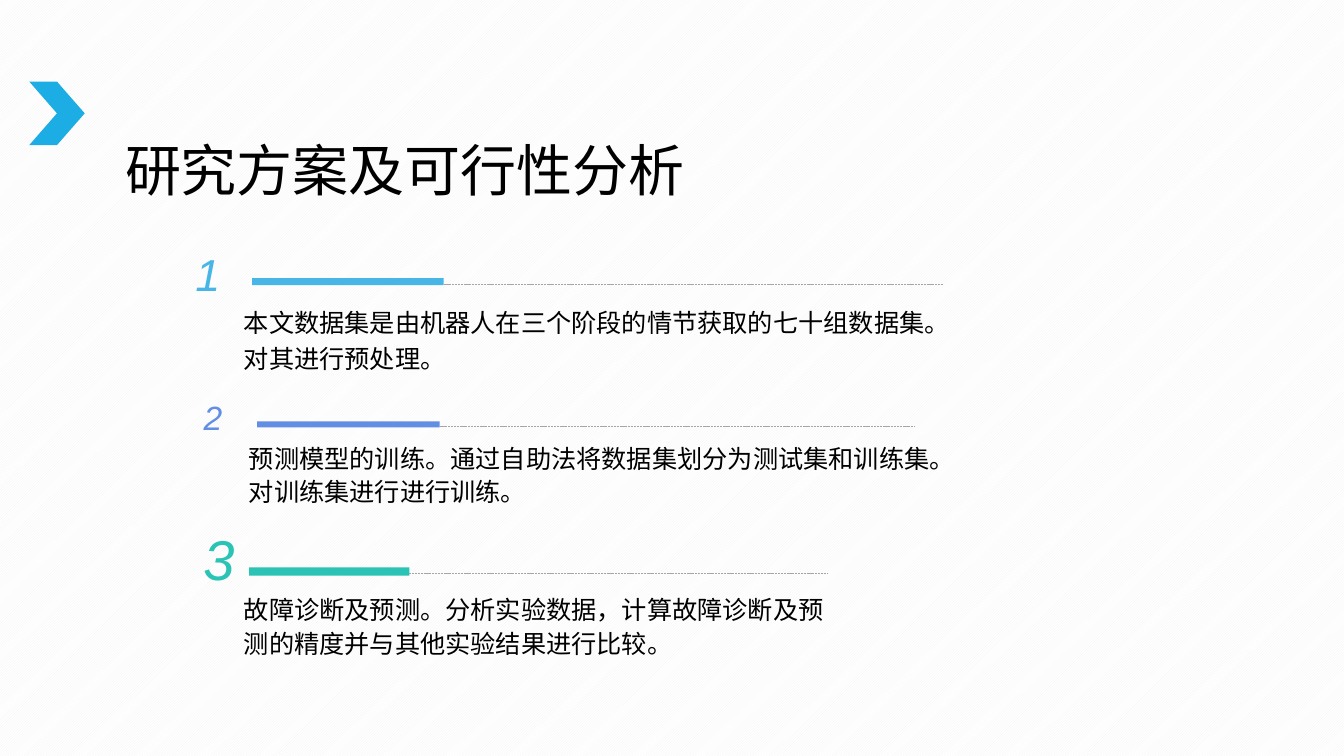
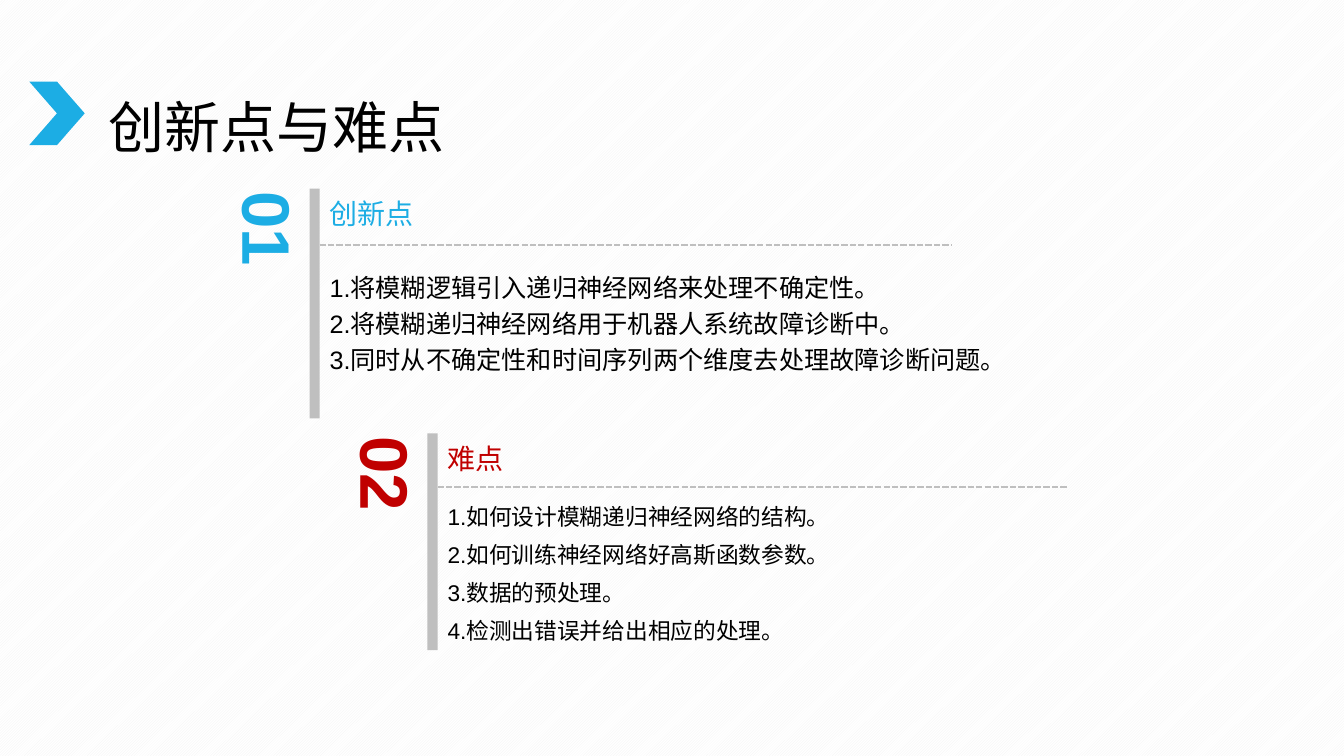
import pptx
import pptx.util
import pptx.dml.color
import pptx.enum.dml
import pptx.enum.shapes
import pptx.enum.text
import pptx.oxml.ns
import lxml.etree

Inches = pptx.util.Inches
Pt = pptx.util.Pt
SHAPE = pptx.enum.shapes.MSO_SHAPE
ANCHOR = pptx.enum.text.MSO_ANCHOR
ALIGN = pptx.enum.text.PP_ALIGN

BLACK, BLUE, RED = "000000", "1CADE4", "C00000"
RULE, BAR = "A6A6A6", "BFBFBF"


def rgb(value):
    """Turn a hex string into a colour."""
    return pptx.dml.color.RGBColor.from_string(value)


def write(tf, text, size=18, color=BLACK, font="Arial", bold=False, italic=False,
          spacing=1.0, align=ALIGN.LEFT, anchor=ANCHOR.TOP):
    """Fill a text frame, one paragraph for each line of text."""
    tf.word_wrap = True
    tf.auto_size = pptx.enum.text.MSO_AUTO_SIZE.NONE
    tf.vertical_anchor = anchor
    for i, line in enumerate(text.split("\n")):
        p = tf.add_paragraph() if i else tf.paragraphs[0]
        p.alignment = align
        p.line_spacing = spacing
        r = p.add_run()
        r.text = line
        r.font.size = Pt(size)
        r.font.name = font
        r.font.bold = bold
        r.font.italic = italic
        r.font.color.rgb = rgb(color)


class Deck:
    """Hold the shared style and the current slide."""

    def __init__(self):
        """Set the slide size and the striped background."""
        self.prs = pptx.Presentation()
        self.prs.slide_width = Inches(13.33)
        self.prs.slide_height = Inches(7.5)
        fill = self.prs.slide_master.background.fill
        fill.patterned()
        fill.pattern = pptx.enum.dml.MSO_PATTERN.LIGHT_UPWARD_DIAGONAL
        fill.fore_color.rgb = rgb("F2F2F2")
        fill.back_color.rgb = rgb("FFFFFF")

    def slide(self, title, x, y):
        """Start a slide with its chevron and title."""
        self.s = self.prs.slides.add_slide(self.prs.slide_layouts[5])
        self.block(0.29, 0.81, 0.55, 0.63, BLUE, SHAPE.CHEVRON)
        sp = self.s.shapes.title
        sp.left, sp.top = Inches(x), Inches(y)
        sp.width, sp.height = Inches(8.84), Inches(1.39)
        write(sp.text_frame, title, size=40, spacing=1.5, anchor=ANCHOR.MIDDLE)

    def block(self, x, y, w, h, color, kind=SHAPE.RECTANGLE):
        """Draw a plain filled shape."""
        sp = self.s.shapes.add_shape(kind, Inches(x), Inches(y), Inches(w), Inches(h))
        sp.shadow.inherit = False
        sp.fill.solid()
        sp.fill.fore_color.rgb = rgb(color)
        sp.line.fill.background()

    def text(self, x, y, w, h, text, **style):
        """Place a text box and return its frame."""
        tf = self.s.shapes.add_textbox(Inches(x), Inches(y), Inches(w), Inches(h)).text_frame
        write(tf, text, **style)
        return tf

    def vertical(self, x, y, w, h, text, **style):
        """Place text that runs from top to bottom."""
        tf = self.text(x, y, w, h, text, **style)
        tf.margin_left = tf.margin_right = tf.margin_top = tf.margin_bottom = 0
        tf._txBody.bodyPr.set("vert", "eaVert")

    def rule(self, x, y, w, color, width):
        """Draw a dashed horizontal line."""
        line = self.s.shapes.add_connector(
            pptx.enum.shapes.MSO_CONNECTOR.STRAIGHT,
            Inches(x), Inches(y), Inches(x + w), Inches(y))
        line.line.color.rgb = rgb(color)
        line.line.width = Pt(width)
        line.line.dash_style = pptx.enum.dml.MSO_LINE.SQUARE_DOT
        lxml.etree.SubElement(line._element.spPr, pptx.oxml.ns.qn("a:effectLst"))

    def step(self, number, color, number_box, size, number_spacing, bar, rule, body_box, text, spacing):
        """Draw a numbered step with a bar, a rule and its text."""
        x, y, w, h = bar
        rule_y, rule_w = rule
        self.rule(x + w, rule_y, rule_w, RULE, 0.5)
        self.block(x, y, w, h, color)
        self.text(*body_box, text, spacing=spacing)
        self.text(*number_box, number, size=size, color=color, italic=True, spacing=number_spacing)

    def section(self, number, heading, color, x, y, h, number_w, rule, body, text, **style):
        """Draw a section beside a vertical bar."""
        bar_w, inset = 0.1, 0.03
        left = x + bar_w
        rule_y, rule_w = rule
        body_y, body_w, body_h = body
        self.text(left, y + inset, 6.64, 0.67, heading, size=20, color=color, font="Calibri")
        self.block(x, y, bar_w, h, BAR)
        self.text(left, body_y, body_w, body_h, text, align=ALIGN.JUSTIFY, **style)
        self.rule(left, rule_y, rule_w, BAR, 1.5)
        self.vertical(x - number_w, y + inset, number_w, h - inset, number,
                      size=48, color=color, bold=True)


def main():
    """Build and save the two slides."""
    deck = Deck()

    deck.slide("研究方案及可行性分析", 1.14, 0.82)
    deck.step("1", "47B6E7", (1.84, 2.24, 0.75, 0.87), 32, 1.3,
              (2.5, 2.76, 1.9, 0.07), (2.82, 4.95), (2.32, 2.94, 7.32, 0.83),
              "本文数据集是由机器人在三个阶段的情节获取的七十组数据集。对其进行预处理。", 1.2)
    deck.step("2", "628EE3", (1.92, 3.77, 0.71, 0.67), 24, 1.3,
              (2.55, 4.18, 1.81, 0.06), (4.23, 4.72), (2.37, 4.32, 6.98, 0.64),
              "预测模型的训练。通过自助法将数据集划分为测试集和训练集。对训练集进行进行训练。", 1.1)
    deck.step("3", "2BC3B5", (1.92, 5.09, 0.63, 0.88), 40, 1.1,
              (2.47, 5.63, 1.59, 0.08), (5.69, 4.15), (2.32, 5.82, 6.13, 0.85),
              "故障诊断及预测。分析实验数据，计算故障诊断及预测的精度并与其他实验结果进行比较。", 1.1)

    deck.slide("创新点与难点", 0.98, 0.39)
    deck.section("01", "创新点", BLUE, 3.07, 1.87, 2.28, 1.6, (2.43, 6.27), (2.59, 6.97, 1.52),
                 "1.将模糊逻辑引入递归神经网络来处理不确定性。\n"
                 "2.将模糊递归神经网络用于机器人系统故障诊断中。\n"
                 "3.同时从不确定性和时间序列两个维度去处理故障诊断问题。", spacing=1.2)
    deck.section("02", "难点", RED, 4.24, 4.3, 2.15, 1.07, (4.83, 6.24), (4.83, 6.61, 1.64),
                 "1.如何设计模糊递归神经网络的结构。\n"
                 "2.如何训练神经网络好高斯函数参数。\n"
                 "3.数据的预处理。\n"
                 "4.检测出错误并给出相应的处理。", size=16.2, spacing=1.4)

    deck.prs.save("out.pptx")


if __name__ == "__main__":
    main()
